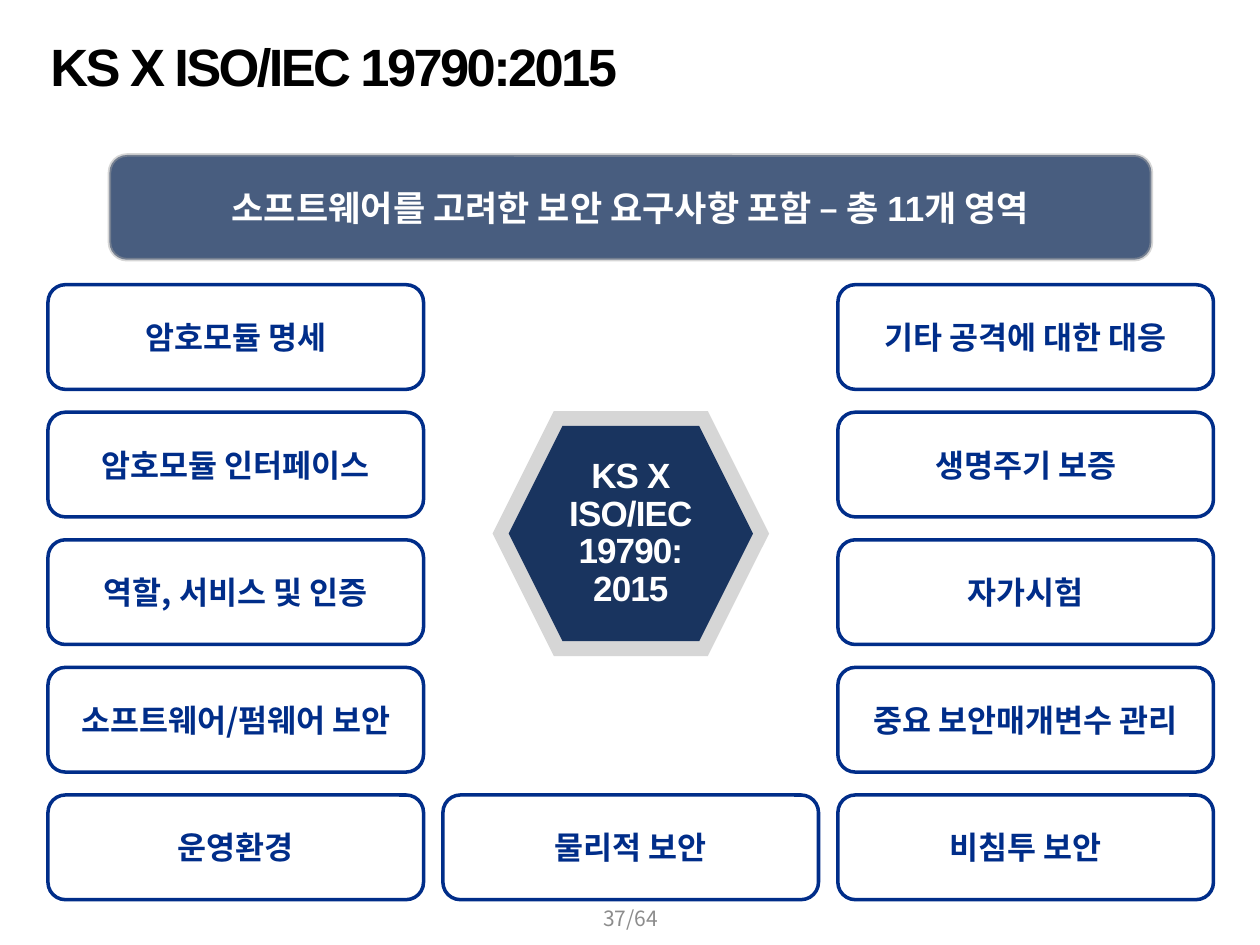
from lxml.etree import SubElement
from pptx import Presentation
from pptx.dml.color import RGBColor
from pptx.enum.shapes import MSO_SHAPE
from pptx.enum.text import MSO_ANCHOR, MSO_AUTO_SIZE, PP_ALIGN
from pptx.oxml.ns import qn
from pptx.util import Pt

TITLE = "KS X ISO/IEC 19790:2015"
BANNER = "소프트웨어를 고려한 보안 요구사항 포함 – 총 11개 영역"
CENTER = ["KS X", "ISO/IEC", "19790:", "2015"]
PAGE = "37/64"
# One row of the grid per tuple: left, middle, right column
AREAS = [
    ("암호모듈 명세", None, "기타 공격에 대한 대응"),
    ("암호모듈 인터페이스", None, "생명주기 보증"),
    ("역할, 서비스 및 인증", None, "자가시험"),
    ("소프트웨어/펌웨어 보안", None, "중요 보안매개변수 관리"),
    ("운영환경", "물리적 보안", "비침투 보안"),
]

KOREAN = "Noto Sans CJK KR"
NAVY, BLUE, SLATE, GRAY, WHITE = "19345F", "002D89", "485D7F", "A6A6A6", "FFFFFF"
GRID_LEFT, GRID_TOP = 27.4, 162.7
COL_STEP, ROW_STEP = 225.7, 72.9
BOX_W, BOX_H = 214.6, 59.8


def rgb(code):
    return RGBColor.from_string(code)


def set_alpha(fill_format, percent):
    color = fill_format._xPr.find(qn("a:solidFill"))[0]
    SubElement(color, qn("a:alpha"), val=str(percent * 1000))


def write(sp, lines, size=18, font="Arial", color=WHITE, bold=True, spacing=0,
          align=PP_ALIGN.CENTER, anchor=MSO_ANCHOR.MIDDLE, wrap=True,
          line_spacing=None, margins=(7.2, 3.6, 7.2, 3.6)):
    tf = sp.text_frame
    tf.auto_size = MSO_AUTO_SIZE.NONE
    tf.word_wrap = wrap
    tf.vertical_anchor = anchor
    tf.margin_left, tf.margin_top, tf.margin_right, tf.margin_bottom = map(Pt, margins)
    for i, line in enumerate(lines):
        p = tf.add_paragraph() if i else tf.paragraphs[0]
        p.alignment = align
        p.line_spacing = line_spacing
        r = p.add_run()
        r.text = line
        r.font.size, r.font.bold, r.font.name = Pt(size), bold, font
        r.font.color.rgb = rgb(color)
        rPr = r._r.get_or_add_rPr()
        SubElement(rPr, qn("a:ea"), typeface=KOREAN)
        if spacing:
            rPr.set("spc", str(round(spacing * 100)))


def add_shape(s, kind, box, fill, line=None):
    sp = s.shapes.add_shape(kind, *map(Pt, box))
    sp.shadow.inherit = False
    sp.fill.solid()
    sp.fill.fore_color.rgb = rgb(fill)
    if line:
        sp.line.color.rgb = rgb(line)
        sp.line.width = Pt(2)
    else:
        sp.line.fill.background()
    return sp


prs = Presentation()
prs.slide_width, prs.slide_height = Pt(720), Pt(540)
s = prs.slides.add_slide(prs.slide_layouts[5])

title = s.shapes.title
title.left, title.top, title.width, title.height = map(Pt, (17.3, 15.8, 400, 41))
write(title, [TITLE], size=30, color="000000", spacing=-1.5, align=PP_ALIGN.LEFT,
      anchor=MSO_ANCHOR.TOP, wrap=False, margins=(11.5, 3.6, 7.2, 3.6))

banner = add_shape(s, MSO_SHAPE.ROUNDED_RECTANGLE, (62.6, 88.6, 595.4, BOX_H), SLATE, GRAY)
set_alpha(banner.line.fill, 45)
write(banner, [BANNER], size=20)

ring = add_shape(s, MSO_SHAPE.HEXAGON, (281.5, 234.9, 158, 140), GRAY)
set_alpha(ring.fill, 45)
core = add_shape(s, MSO_SHAPE.HEXAGON, (290.7, 243.4, 139.6, 123), NAVY)
write(core, CENTER, size=20, spacing=-0.5, line_spacing=0.9, margins=(0, 1.4, 0, 1.4))

for row, areas in enumerate(AREAS):
    for col, area in enumerate(areas):
        if area:
            box = (GRID_LEFT + col * COL_STEP, GRID_TOP + row * ROW_STEP, BOX_W, BOX_H)
            sp = add_shape(s, MSO_SHAPE.ROUNDED_RECTANGLE, box, WHITE, BLUE)
            write(sp, [area], font=KOREAN, color=BLUE)

page = s.shapes.add_textbox(*map(Pt, (279.4, 510.5, 162, 28.8)))
write(page, [PAGE], size=12, font=KOREAN, color="8C8C8C", bold=False)

prs.save("out.pptx")
